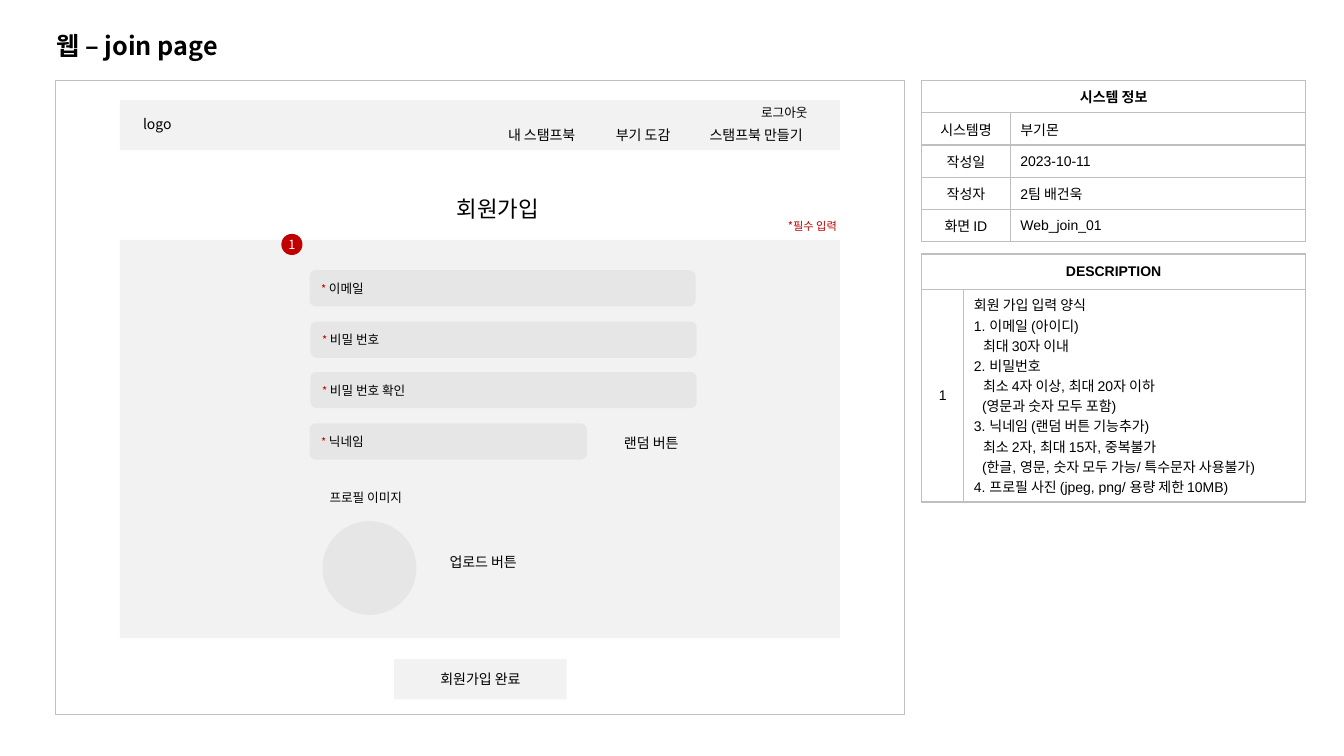
from lxml import etree
from pptx import Presentation, util as u
from pptx.dml.color import RGBColor
from pptx.enum import shapes, text
from pptx.oxml.ns import qn

PX = 9144
BLACK = RGBColor(0, 0, 0)
WHITE = RGBColor(255, 255, 255)
RED = RGBColor(0xC0, 0, 0)
PALE = RGBColor(0xF2, 0xF2, 0xF2)
GREY = RGBColor(0xE7, 0xE6, 0xE6)
EDGE = RGBColor(0xBF, 0xBF, 0xBF)
SANS = "Noto Sans CJK KR"
KIND = shapes.MSO_SHAPE
MID = text.MSO_ANCHOR.MIDDLE
LEFT, CENTER, RIGHT = text.PP_ALIGN.LEFT, text.PP_ALIGN.CENTER, text.PP_ALIGN.RIGHT


def scale(*nums):
    return [u.Emu(n * PX) for n in nums]


def add_run(para, words, size, color=BLACK, bold=False, face=SANS):
    run = para.add_run()
    run.text = words
    font = run.font
    font.size, font.bold, font.name = u.Pt(size), bold, face
    font.color.rgb = color
    etree.SubElement(font._element, qn("a:ea"), typeface=SANS)


def set_frame(frame, pad=5, anchor=MID):
    frame.margin_left, frame.margin_right, frame.margin_top, frame.margin_bottom = scale(10, 10, pad, pad)
    frame.vertical_anchor = anchor
    frame.word_wrap = False


def add_box(slide, kind, box, fill=None, line=None):
    shape = slide.shapes.add_shape(kind, *scale(*box))
    shape.shadow.inherit = False
    if fill is None:
        shape.fill.background()
    else:
        shape.fill.solid()
        shape.fill.fore_color.rgb = fill
    if line is None:
        shape.line.fill.background()
    else:
        shape.line.color.rgb = line
        shape.line.width = u.Pt(1)
    return shape


def add_label(slide, words, box, size=10, align=LEFT, color=BLACK):
    frame = slide.shapes.add_textbox(*scale(*box)).text_frame
    set_frame(frame, anchor=text.MSO_ANCHOR.TOP)
    frame.auto_size = text.MSO_AUTO_SIZE.SHAPE_TO_FIT_TEXT
    frame.paragraphs[0].alignment = align
    add_run(frame.paragraphs[0], words, size, color)


def fill_shape(shape, runs, align=LEFT, pad=10):
    frame = shape.text_frame
    set_frame(frame, pad)
    frame.paragraphs[0].alignment = align
    for words, size, color in runs:
        add_run(frame.paragraphs[0], words, size, color)


def set_title(slide, words, box):
    title = slide.shapes.title
    title.left, title.top, title.width, title.height = scale(*box)
    set_frame(title.text_frame, anchor=text.MSO_ANCHOR.TOP)
    para = title.text_frame.paragraphs[0]
    para.alignment = LEFT
    para.line_spacing = 1.0
    add_run(para, words, 18, bold=True)


def add_head(slide, box):
    left, top, wide, high = box
    add_box(slide, KIND.RECTANGLE, box, PALE)
    for words, x, y, w, h, size in (
        ("logo", 13, 11, 49, 27, 10),
        ("내 스탬프북", 375, 22, 95, 27, 10),
        ("부기 도감", 482, 22, 81, 27, 10),
        ("스탬프북 만들기", 575, 22, 123, 27, 10),
        ("로그아웃", 626, 0, 71, 25, 9),
    ):
        add_label(slide, words, (left + x, top + y, w, h), size)


def add_field(slide, name, box):
    field = add_box(slide, KIND.ROUNDED_RECTANGLE, box, GREY)
    fill_shape(field, [("* ", 8, RED), (name, 9, BLACK)])


def add_form(slide, box):
    left, top, wide, high = box
    add_box(slide, KIND.RECTANGLE, box, PALE)
    add_label(slide, "회원가입", (left + 317, top - 49, 116, 37), 16, CENTER)
    note = slide.shapes.add_textbox(*scale(left + wide - 78, top - 24, 85, 21))
    fill_shape(note, [("*필수 입력", 8, RED)], RIGHT)
    fields = (("이메일", 188, 383), ("비밀 번호", 189, 383),
              ("비밀 번호 확인", 189, 383), ("닉네임", 188, 275))
    for i, (name, x, w) in enumerate(fields):
        add_field(slide, name, (left + x, top + 30 + round(i * 50.7), w, 36))
    badge = add_box(slide, KIND.OVAL, (left + 160, top - 6, 21, 21), RED)
    fill_shape(badge, [("1", 9, WHITE)], CENTER, 5)
    add_label(slide, "랜덤 버튼", (left + 490, top + 188, 81, 27))
    add_label(slide, "프로필 이미지", (left + 198, top + 243, 100, 25), 9)
    add_box(slide, KIND.OVAL, (left + 201, top + 279, 93, 93), GREY)
    add_label(slide, "업로드 버튼", (left + 317, top + 306, 95, 27))
    done = add_box(slide, KIND.RECTANGLE, (left + 272, top + high + 21, 171, 40), PALE)
    fill_shape(done, [("회원가입 완료", 10, BLACK)], CENTER)


def add_page(slide, box):
    left, top, wide, high = box
    add_box(slide, KIND.RECTANGLE, box, line=EDGE)
    add_head(slide, (left + 64, top + 19, 714, 50))
    add_form(slide, (left + 64, top + 158, 714, 395))


def set_edge(cell):
    props = cell._tc.get_or_add_tcPr()
    for i, side in enumerate(("lnL", "lnR", "lnT", "lnB")):
        line = etree.Element(qn("a:" + side), w=str(u.Pt(1)))
        fill = etree.SubElement(line, qn("a:solidFill"))
        etree.SubElement(fill, qn("a:srgbClr"), val=str(EDGE))
        props.insert(i, line)


def fill_cell(cell, lines, align, bold=False):
    cell.fill.background()
    set_edge(cell)
    cell.vertical_anchor = MID
    cell.margin_left, cell.margin_right, cell.margin_top, cell.margin_bottom = scale(10, 10, 5, 5)
    for i, (words, inset) in enumerate(lines):
        para = cell.text_frame.paragraphs[0] if i == 0 else cell.text_frame.add_paragraph()
        para.alignment = align
        if inset:
            para._p.get_or_add_pPr().set("marL", str(inset * PX))
        add_run(para, words, 10, bold=bold, face="Arial")


def add_grid(slide, head, rows, box, cols, highs):
    left, top, wide = box
    grid = slide.shapes.add_table(len(highs), 2, *scale(left, top, wide, sum(highs))).table
    grid.first_row = grid.horz_banding = False
    for col, span in zip(grid.columns, cols):
        col.width = u.Emu(span * PX)
    for row, high in zip(grid.rows, highs):
        row.height = u.Emu(high * PX)
    grid.cell(0, 0).merge(grid.cell(0, 1))
    fill_cell(grid.cell(0, 0), [(head, 0)], CENTER, True)
    fill_cell(grid.cell(0, 1), [], CENTER)
    for i, (key, lines) in enumerate(rows, 1):
        fill_cell(grid.cell(i, 0), [(key, 0)], CENTER)
        fill_cell(grid.cell(i, 1), lines, LEFT)


def add_side(slide, box):
    left, top, wide, high = box
    facts = (("시스템명", "부기몬"), ("작성일", "2023-10-11"),
             ("작성자", "2팀 배건욱"), ("화면 ID", "Web_join_01"))
    add_grid(slide, "시스템 정보", [(key, [(val, 0)]) for key, val in facts],
             (left, top, wide), (88, wide - 88), [32] * 5)
    lines = [
        ("회원 가입 입력 양식", 0),
        ("1. 이메일 (아이디)", 0),
        ("최대 30자 이내", 9),
        ("2. 비밀번호", 0),
        ("최소 4자 이상, 최대 20자 이하", 9),
        ("(영문과 숫자 모두 포함)", 8),
        ("3. 닉네임 (랜덤 버튼 기능추가)", 0),
        ("최소 2자, 최대 15자, 중복불가", 9),
        ("(한글, 영문, 숫자 모두 가능/ 특수문자 사용불가)", 8),
        ("4. 프로필 사진 (jpeg, png/ 용량 제한 10MB)", 0),
    ]
    add_grid(slide, "DESCRIPTION", [("1", lines)],
             (left, top + 172, wide), (42, wide - 42), (35, high - 207))


def main():
    deck = Presentation()
    deck.slide_width, deck.slide_height = scale(1333, 750)
    slide = deck.slides.add_slide(deck.slide_layouts[5])
    set_title(slide, "웹 – join page", (46, 25, 203, 40))
    add_page(slide, (55, 80, 842, 629))
    add_side(slide, (914, 80, 381, 418))
    deck.save("out.pptx")


if __name__ == "__main__":
    main()
